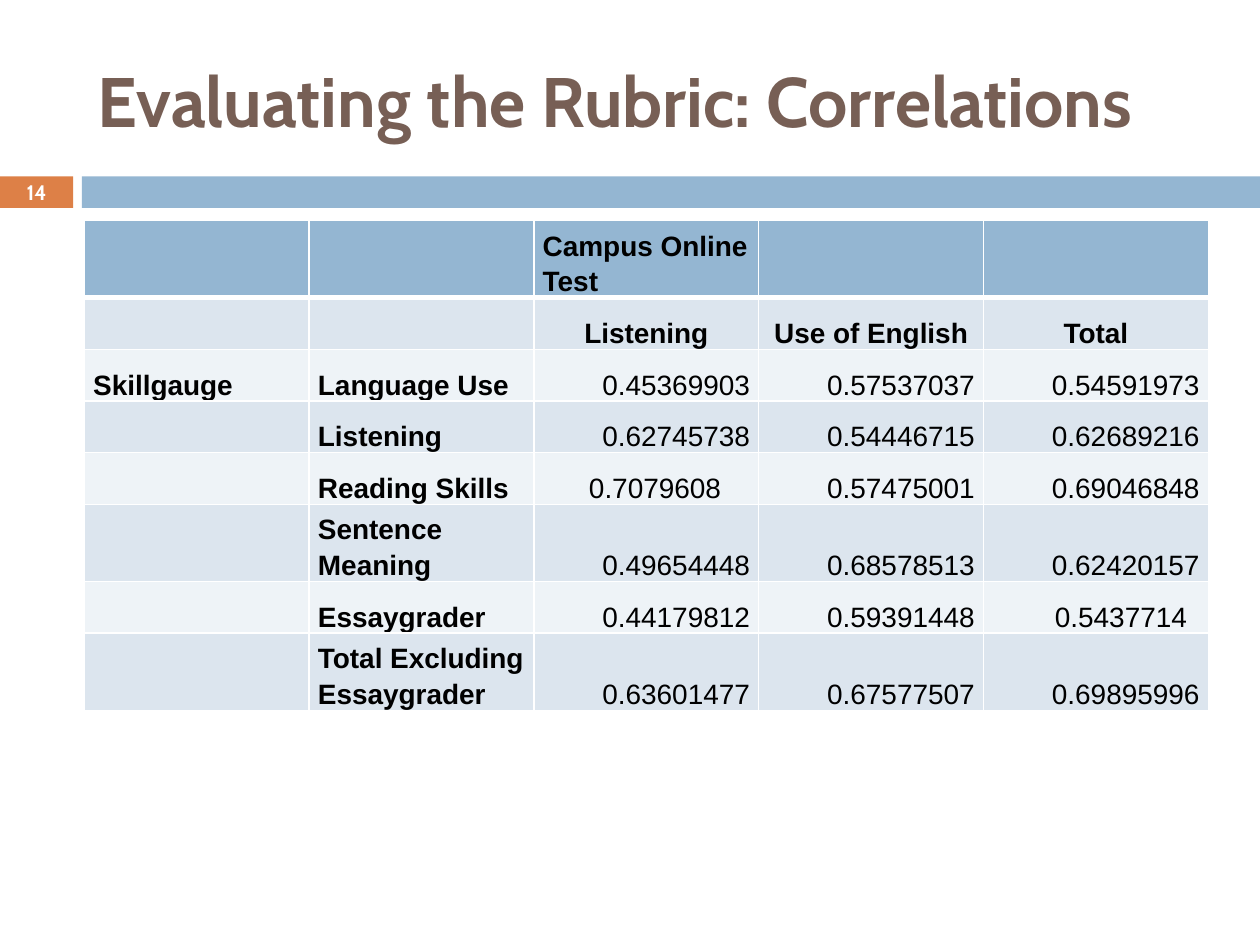
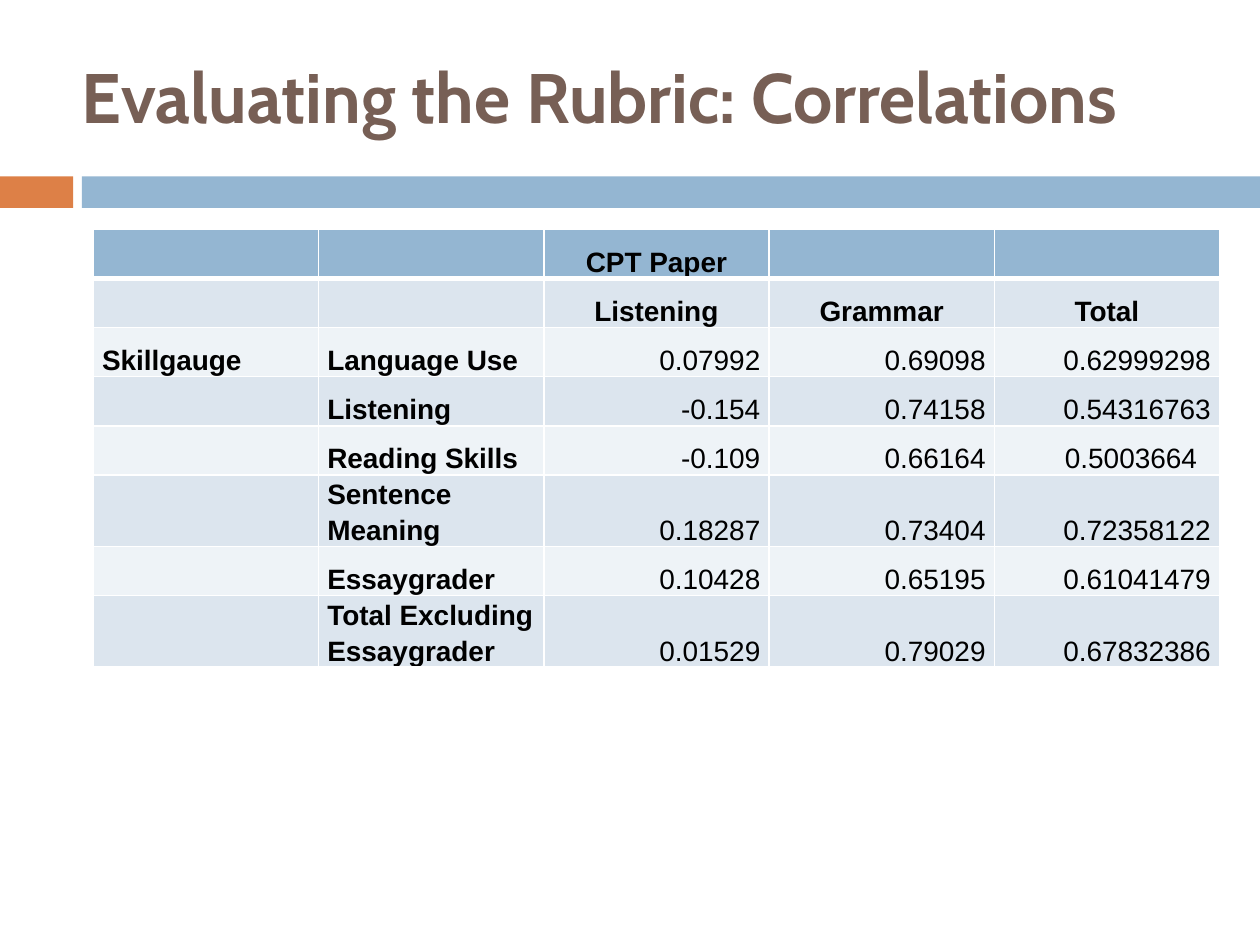
from lxml import etree
from pptx import Presentation
from pptx.dml.color import RGBColor
from pptx.enum.shapes import MSO_SHAPE
from pptx.enum.text import MSO_ANCHOR, PP_ALIGN
from pptx.oxml.ns import qn
from pptx.util import Inches, Pt

RECTANGLE = MSO_SHAPE.RECTANGLE
MIDDLE, BOTTOM = MSO_ANCHOR.MIDDLE, MSO_ANCHOR.BOTTOM
LEFT, CENTER, RIGHT = PP_ALIGN.LEFT, PP_ALIGN.CENTER, PP_ALIGN.RIGHT

ORANGE = RGBColor(0xDD, 0x80, 0x47)
BLUE = RGBColor(0x94, 0xB6, 0xD2)
BROWN = RGBColor(0x77, 0x5F, 0x55)
DARK_ROW = RGBColor(0xDC, 0xE5, 0xEE)
LIGHT_ROW = RGBColor(0xEE, 0xF3, 0xF7)
WHITE = RGBColor(0xFF, 0xFF, 0xFF)
BLACK = RGBColor(0, 0, 0)

TITLE_FONT, TABLE_FONT = "Cabin", "Arial"
SLIDE_WIDTH, SLIDE_HEIGHT = 10, 7.5
TITLE_ONLY = 5
TITLE = "Evaluating the Rubric: Correlations"
TITLE_SIZE = (8.92, 1.08)
BAND_TOP, BAND_HEIGHT = 1.4, 0.25
NUMBER_WIDTH, BAND_LEFT = 0.58, 0.65
CELL_MARGIN = 0.07
HEADER_ROWS, LABEL_COLUMNS = 2, 2

SUBTESTS = ["Language Use", "Listening", "Reading Skills", "Sentence Meaning",
            "Essaygrader", "Total Excluding Essaygrader"]
ONLINE_SCORES = [
    ["0.45369903", "0.57537037", "0.54591973"],
    ["0.62745738", "0.54446715", "0.62689216"],
    ["0.7079608", "0.57475001", "0.69046848"],
    ["0.49654448", "0.68578513", "0.62420157"],
    ["0.44179812", "0.59391448", "0.5437714"],
    ["0.63601477", "0.67577507", "0.69895996"],
]
PAPER_SCORES = [
    ["0.07992", "0.69098", "0.62999298"],
    ["-0.154", "0.74158", "0.54316763"],
    ["-0.109", "0.66164", "0.5003664"],
    ["0.18287", "0.73404", "0.72358122"],
    ["0.10428", "0.65195", "0.61041479"],
    ["0.01529", "0.79029", "0.67832386"],
]
SHIFTED_SCORES = {"0.7079608": 0.23, "0.5437714": 0.1, "0.5003664": 0.11}


def format_paragraph(paragraph, font_name, size, color, bold, alignment):
    """Set the font and alignment of a whole paragraph."""
    paragraph.alignment = alignment
    font = paragraph.font
    font.name, font.size, font.bold = font_name, Pt(size), bold
    font.color.rgb = color


def add_band(slide, left, width, color):
    """Draw one part of the band under the title."""
    band = slide.shapes.add_shape(RECTANGLE, Inches(left), Inches(BAND_TOP),
                                  Inches(width), Inches(BAND_HEIGHT))
    band.shadow.inherit = False
    band.fill.solid()
    band.fill.fore_color.rgb = color
    band.line.fill.background()


def add_titled_slide(presentation, title_left, title_top):
    """Add a slide with the shared bands and title."""
    slide = presentation.slides.add_slide(presentation.slide_layouts[TITLE_ONLY])
    add_band(slide, 0, NUMBER_WIDTH, ORANGE)
    add_band(slide, BAND_LEFT, SLIDE_WIDTH - BAND_LEFT, BLUE)
    title = slide.shapes.title
    title.left, title.top = Inches(title_left), Inches(title_top)
    title.width, title.height = map(Inches, TITLE_SIZE)
    title.text_frame.text = TITLE
    title.text_frame.vertical_anchor = MIDDLE
    format_paragraph(title.text_frame.paragraphs[0], TITLE_FONT, 40, BROWN, True, LEFT)
    return slide


def add_slide_number(slide, number):
    """Write the slide number over the orange band."""
    box = slide.shapes.add_textbox(0, Inches(BAND_TOP), Inches(NUMBER_WIDTH),
                                   Inches(BAND_HEIGHT))
    frame = box.text_frame
    frame.word_wrap = True
    frame.margin_left = frame.margin_right = frame.margin_top = frame.margin_bottom = 0
    frame.vertical_anchor = MIDDLE
    frame.text = number
    format_paragraph(frame.paragraphs[0], TITLE_FONT, 12, WHITE, True, CENTER)


def add_borders(cell, row):
    """Give a cell white borders, with a thick line under the first row."""
    properties = cell._tc.get_or_add_tcPr()
    thick_side = {0: "B", 1: "T"}.get(row)
    for side in "LRTB":
        width = Pt(3 if side == thick_side else 1)
        line = etree.SubElement(properties, qn(f"a:ln{side}"), w=str(width))
        fill = etree.SubElement(line, qn("a:solidFill"))
        etree.SubElement(fill, qn("a:srgbClr"), val=str(WHITE))


def format_cell(cell, row, column, text, heading_alignment):
    """Fill one cell and set its text by its place in the table."""
    is_score = row >= HEADER_ROWS and column >= LABEL_COLUMNS
    if is_score:
        alignment = RIGHT
    elif row == 0:
        alignment = heading_alignment
    else:
        alignment = CENTER if row < HEADER_ROWS else LEFT
    add_borders(cell, row)
    cell.fill.solid()
    cell.fill.fore_color.rgb = BLUE if row == 0 else DARK_ROW if row % 2 else LIGHT_ROW
    cell.margin_left = Inches(CELL_MARGIN)
    cell.margin_right = Inches(CELL_MARGIN + SHIFTED_SCORES.get(text, 0))
    cell.margin_top = cell.margin_bottom = 0
    cell.vertical_anchor = BOTTOM
    cell.text = text
    paragraph = cell.text_frame.paragraphs[0]
    paragraph.line_spacing = 1.15
    format_paragraph(paragraph, TABLE_FONT, 16, BLACK, not is_score, alignment)


def add_correlation_table(slide, left, top, width, row_height, heading,
                          heading_alignment, measures, scores):
    """Add a table of subtests against the measures of one test."""
    rows = [["", "", heading, "", ""], ["", "", *measures]]
    for index, (subtest, values) in enumerate(zip(SUBTESTS, scores)):
        rows.append(["" if index else "Skillgauge", subtest, *values])
    column_count = len(rows[0])
    table = slide.shapes.add_table(
        len(rows), column_count, Inches(left), Inches(top), Inches(width),
        Inches(row_height * len(rows))).table
    for column in table.columns:
        column.width = Inches(width / column_count)
    for row, texts in enumerate(rows):
        table.rows[row].height = Inches(row_height)
        for column, text in enumerate(texts):
            format_cell(table.cell(row, column), row, column, text, heading_alignment)


def main():
    """Build both correlation slides and save them."""
    presentation = Presentation()
    presentation.slide_width = Inches(SLIDE_WIDTH)
    presentation.slide_height = Inches(SLIDE_HEIGHT)

    online_slide = add_titled_slide(presentation, 0.67, 0.25)
    add_slide_number(online_slide, "14")
    add_correlation_table(online_slide, 0.67, 1.75, 8.92, 0.41, "Campus Online Test", LEFT,
                          ["Listening", "Use of English", "Total"], ONLINE_SCORES)

    paper_slide = add_titled_slide(presentation, 0.55, 0.22)
    add_correlation_table(paper_slide, 0.74, 1.82, 8.94, 0.39, "CPT Paper", CENTER,
                          ["Listening", "Grammar", "Total"], PAPER_SCORES)
    presentation.save("out.pptx")


if __name__ == "__main__":
    main()
